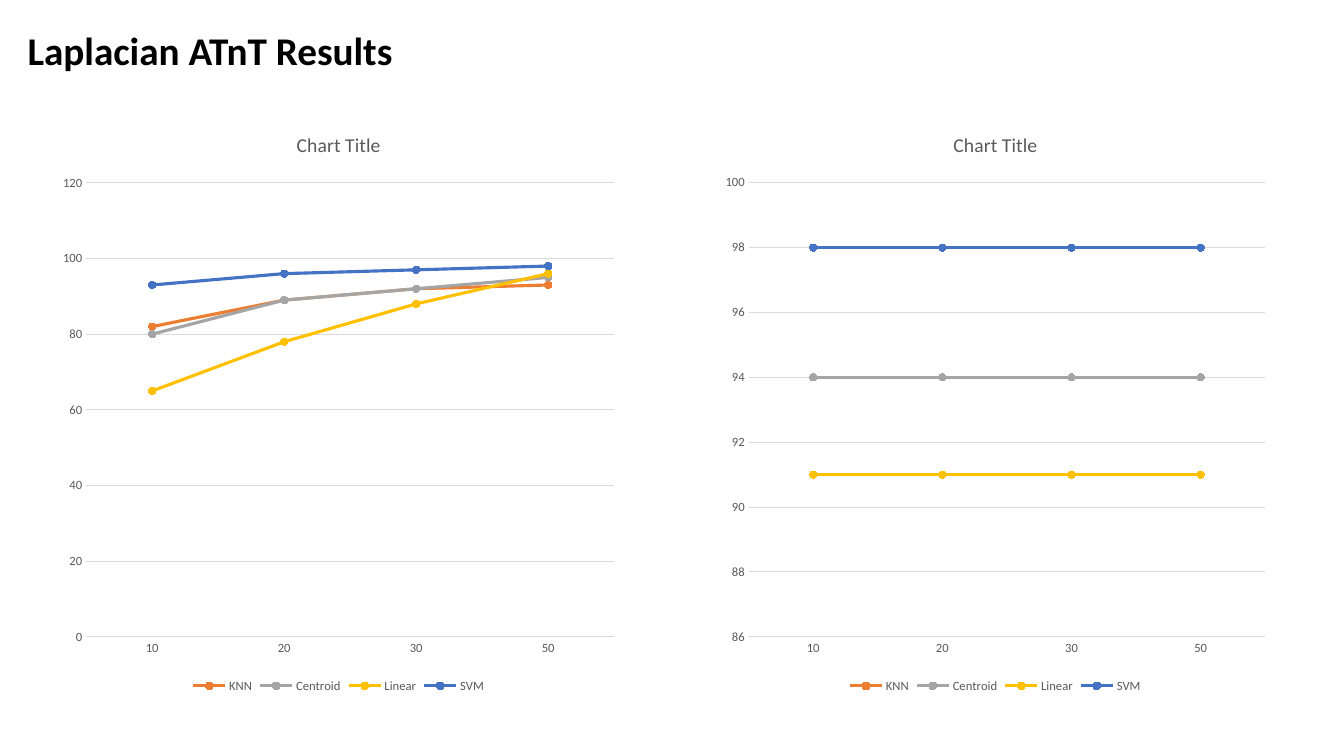
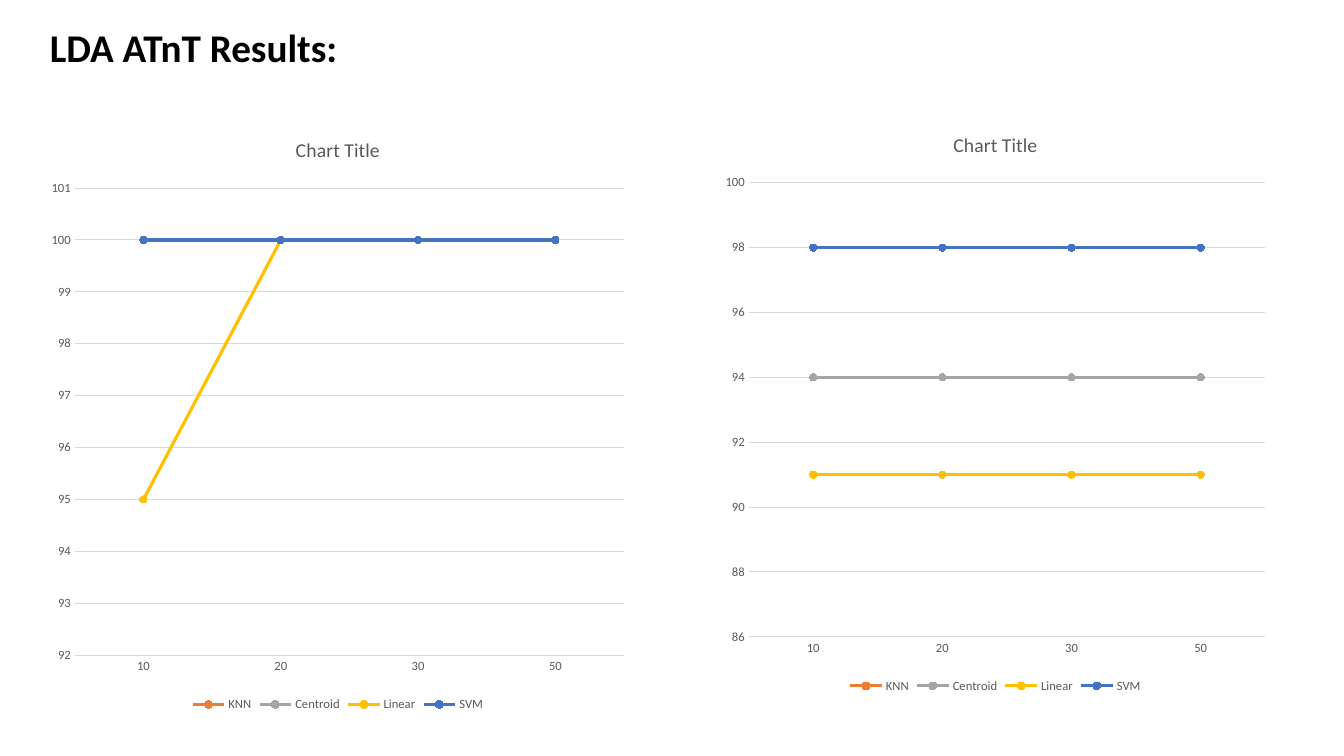
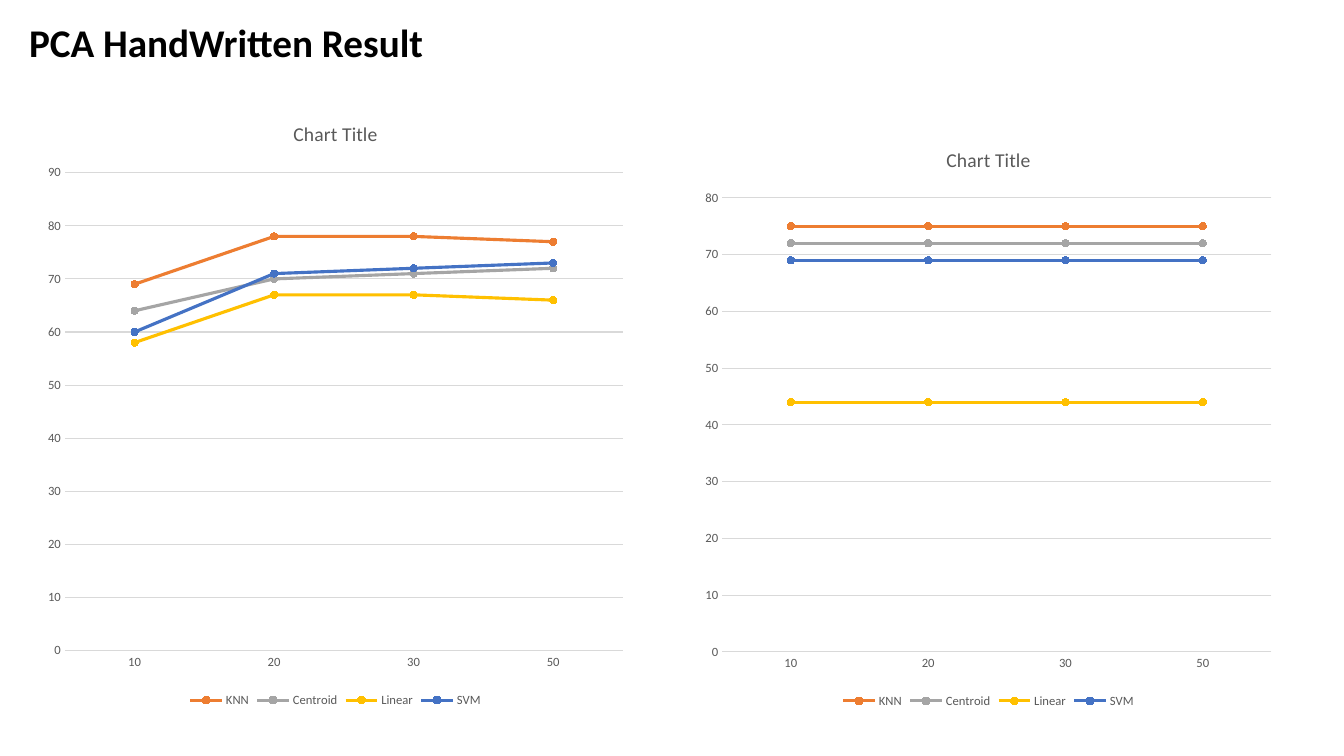
"""Build three slides that compare classifier accuracy in paired line charts."""
import pptx
import pptx.chart.data
import pptx.dml.color
import pptx.enum.chart
import pptx.enum.text
import pptx.util
from pptx.util import Cm

BLACK = pptx.dml.color.RGBColor(0x00, 0x00, 0x00)
GRAY_TEXT = pptx.dml.color.RGBColor(0x59, 0x59, 0x59)
GRID = pptx.dml.color.RGBColor(0xD9, 0xD9, 0xD9)
ORANGE = pptx.dml.color.RGBColor(0xED, 0x7D, 0x31)
SILVER = pptx.dml.color.RGBColor(0xA5, 0xA5, 0xA5)
GOLD = pptx.dml.color.RGBColor(0xFF, 0xC0, 0x00)
BLUE = pptx.dml.color.RGBColor(0x44, 0x72, 0xC4)

FONT = "Calibri"
CATEGORIES = ["10", "20", "30", "50"]
CLASSIFIERS = {"KNN": ORANGE, "Centroid": SILVER, "Linear": GOLD, "SVM": BLUE}


class ResultsDeck:
    """Holds the shared style and the current slide."""

    def __init__(self):
        self.deck = pptx.Presentation()
        self.deck.slide_width, self.deck.slide_height = Cm(33.87), Cm(19.05)
        self.page = None

    def add_page(self, title, left, top, height):
        """Start a slide with its title."""
        self.page = self.deck.slides.add_slide(self.deck.slide_layouts[5])
        box = self.page.shapes.title
        box.left, box.top, box.width, box.height = Cm(left), Cm(top), Cm(29.21), Cm(height)
        frame = box.text_frame
        frame.text = title
        frame.word_wrap = True
        frame.auto_size = pptx.enum.text.MSO_AUTO_SIZE.NONE
        frame.vertical_anchor = pptx.enum.text.MSO_ANCHOR.MIDDLE
        para = frame.paragraphs[0]
        para.alignment = pptx.enum.text.PP_ALIGN.LEFT
        para.line_spacing = 0.9
        self.set_font(para.font, 28, BLACK, bold=True)

    def set_font(self, font, size, color, bold=False):
        """Apply the deck typeface with a size and colour."""
        font.name = FONT
        font.size = pptx.util.Pt(size)
        font.bold = bold
        font.color.rgb = color

    def set_line(self, line, color, width):
        """Apply a solid line."""
        line.color.rgb = color
        line.width = pptx.util.Pt(width)

    def add_line_chart(self, position, scale, accuracies):
        """Add a chart with one line per classifier."""
        data = pptx.chart.data.CategoryChartData()
        data.categories = CATEGORIES
        for name, values in zip(CLASSIFIERS, accuracies):
            data.add_series(name, values)
        chart = self.page.shapes.add_chart(
            pptx.enum.chart.XL_CHART_TYPE.LINE_MARKERS, *map(Cm, position), data
        ).chart
        self.set_font(chart.font, 10, BLACK)
        self.add_chart_title(chart)
        self.format_axes(chart, scale)
        self.format_series(chart)
        chart.has_legend = True
        chart.legend.position = pptx.enum.chart.XL_LEGEND_POSITION.BOTTOM
        chart.legend.include_in_layout = False
        self.set_font(chart.legend.font, 9, GRAY_TEXT)

    def add_chart_title(self, chart):
        """Write the heading of a chart."""
        chart.has_title = True
        frame = chart.chart_title.text_frame
        frame.text = "Chart Title"
        self.set_font(frame.paragraphs[0].font, 14, GRAY_TEXT)

    def format_axes(self, chart, scale):
        """Style both axes and fix the value range."""
        values = chart.value_axis
        values.minimum_scale, values.maximum_scale, values.major_unit = scale
        for axis in (chart.category_axis, values):
            axis.major_tick_mark = pptx.enum.chart.XL_TICK_MARK.NONE
            axis.minor_tick_mark = pptx.enum.chart.XL_TICK_MARK.NONE
            self.set_font(axis.tick_labels.font, 9, GRAY_TEXT)
        self.set_line(chart.category_axis.format.line, GRID, 0.75)
        self.set_line(values.major_gridlines.format.line, GRID, 0.75)
        values.format.line.fill.background()

    def format_series(self, chart):
        """Colour the lines and markers."""
        chart.plots[0].vary_by_categories = False
        for series, color in zip(chart.plots[0].series, CLASSIFIERS.values()):
            series.smooth = False
            self.set_line(series.format.line, color, 2.25)
            marker = series.marker
            marker.style = pptx.enum.chart.XL_MARKER_STYLE.CIRCLE
            marker.size = 5
            marker.format.fill.solid()
            marker.format.fill.fore_color.rgb = color
            self.set_line(marker.format.line, color, 0.75)


def constant(*levels):
    """Repeat each level across all categories."""
    return [[level] * len(CATEGORIES) for level in levels]


def add_atnt_baseline(results):
    """Add the reference chart of the ATnT slides."""
    results.add_line_chart((18, 2.79, 14.17, 14.78), (86, 100, 2),
                           constant(94, 94, 91, 98))


def main():
    """Build and save the deck."""
    results = ResultsDeck()

    results.add_page("Laplacian ATnT Results", 0.44, 0.3, 2.08)
    results.add_line_chart((1.3, 2.79, 14.47, 14.78), (0, 120, 20), [
        [82, 89, 92, 93],
        [80, 89, 92, 95],
        [65, 78, 88, 96],
        [93, 96, 97, 98],
    ])
    add_atnt_baseline(results)

    results.add_page("LDA ATnT Results:", 1, 0.33, 1.83)
    results.add_line_chart((1, 2.91, 15.03, 15.13), (92, 101, 1), [
        [100, 100, 100, 100],
        [100, 100, 100, 100],
        [95, 100, 100, 100],
        [100, 100, 100, 100],
    ])
    add_atnt_baseline(results)

    results.add_page("PCA HandWritten Result", 0.48, 0.37, 1.5)
    results.add_line_chart((0.91, 2.51, 15.09, 15.42), (0, 90, 10), [
        [69, 78, 78, 77],
        [64, 70, 71, 72],
        [58, 67, 67, 66],
        [60, 71, 72, 73],
    ])
    results.add_line_chart((17.48, 3.17, 14.86, 14.78), (0, 80, 10),
                           constant(75, 72, 44, 69))

    results.deck.save("out.pptx")


if __name__ == "__main__":
    main()
